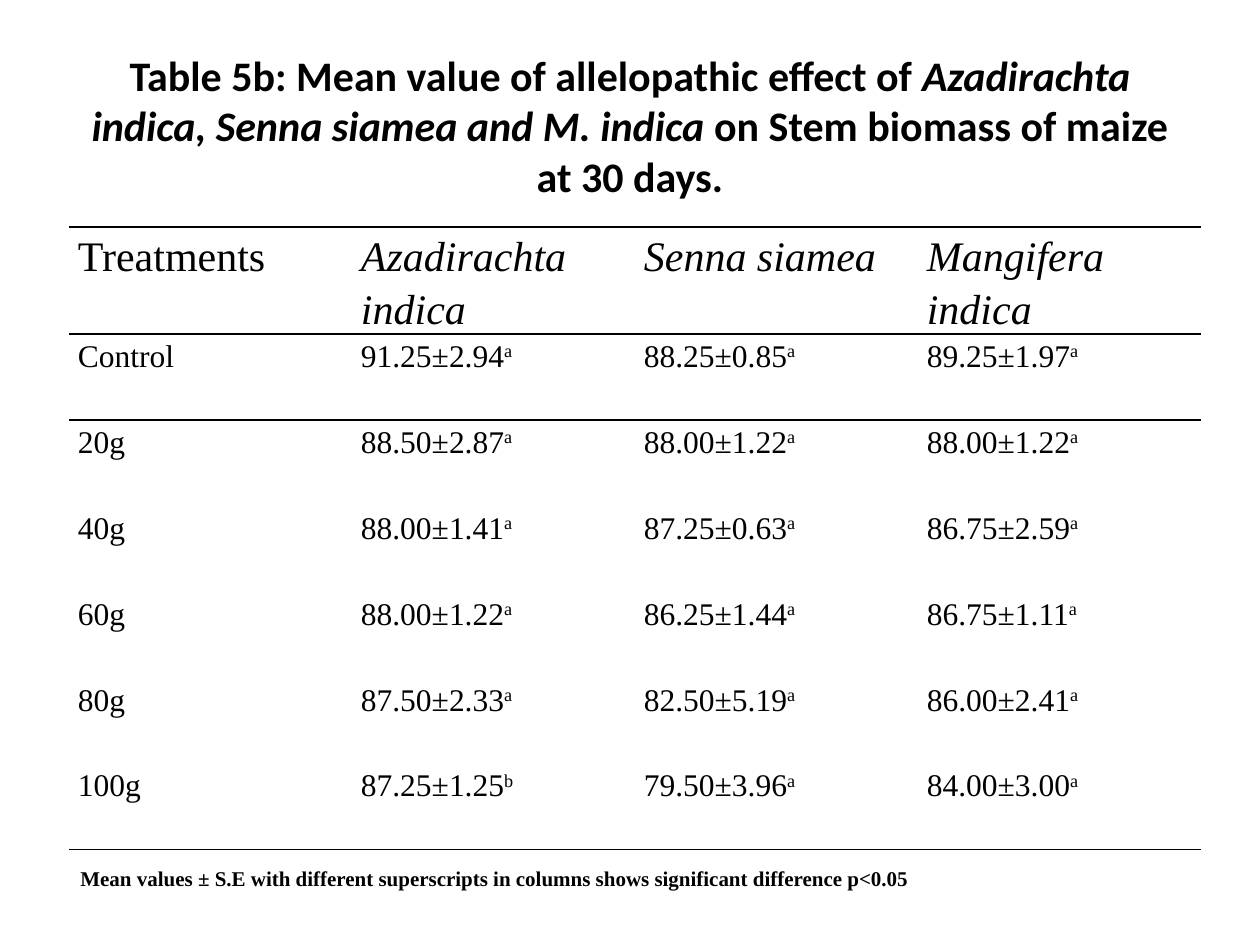
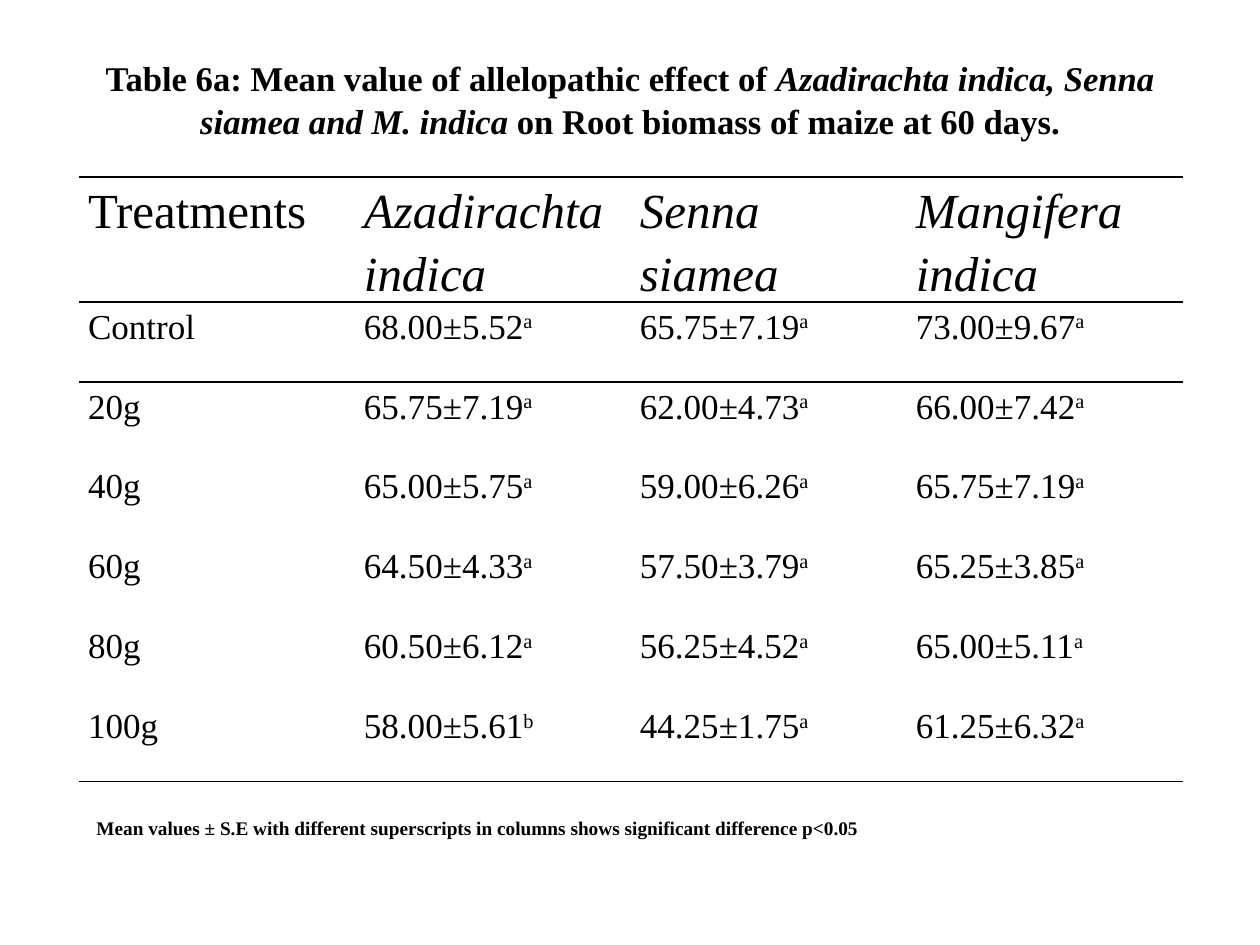
import dataclasses
import lxml.etree
import pptx
import pptx.dml.color
import pptx.enum.text
import pptx.oxml.ns
import pptx.util

PX = 914400 // 126


@dataclasses.dataclass(frozen=True)
class Theme:
    ink: str = "000000"
    sans: str = "Calibri"
    serif: str = "Times New Roman"
    rule: float = 1
    title_sizes: tuple = (24, 19.8)
    head_sizes: tuple = (24, 28)
    body_sizes: tuple = (18, 20)
    note_sizes: tuple = (12, 11)


theme = Theme()
plain_table = "{2D5ABB26-0587-4C30-8999-92F81FD0307C}"
species = "Azadirachta indica, Senna siamea and M. indica"
header = ["Treatments", "Azadirachta indica", "Senna siamea", "Mangifera indica"]
treatments = ["Control", "20g", "40g", "60g", "80g", "100g"]
note = "Mean values ± S.E with different superscripts in columns shows significant difference p<0.05"

slides = [
    {
        "title": ("Table 5b: Mean value of allelopathic effect of ",
                  " on Stem biomass of maize at 30 days."),
        "title_font": theme.sans, "title_top": 46, "title_spacing": 1.0,
        "table": (69, 227), "col": 283, "rows": (106, 86),
        "note": (68, 859, 1131, 38),
        "means": [
            ("91.25±2.94a", "88.25±0.85a", "89.25±1.97a"),
            ("88.50±2.87a", "88.00±1.22a", "88.00±1.22a"),
            ("88.00±1.41a", "87.25±0.63a", "86.75±2.59a"),
            ("88.00±1.22a", "86.25±1.44a", "86.75±1.11a"),
            ("87.50±2.33a", "82.50±5.19a", "86.00±2.41a"),
            ("87.25±1.25b", "79.50±3.96a", "84.00±3.00a"),
        ],
    },
    {
        "title": ("Table 6a: Mean value of allelopathic effect of ",
                  " on Root biomass of maize at 60 days."),
        "title_font": theme.serif, "title_top": 19, "title_spacing": 1.05,
        "table": (79, 177), "col": 276, "rows": (125, 80),
        "note": (84, 810, 1155, 37),
        "means": [
            ("68.00±5.52a", "65.75±7.19a", "73.00±9.67a"),
            ("65.75±7.19a", "62.00±4.73a", "66.00±7.42a"),
            ("65.00±5.75a", "59.00±6.26a", "65.75±7.19a"),
            ("64.50±4.33a", "57.50±3.79a", "65.25±3.85a"),
            ("60.50±6.12a", "56.25±4.52a", "65.00±5.11a"),
            ("58.00±5.61b", "44.25±1.75a", "61.25±6.32a"),
        ],
    },
]


def style(font, name, size, bold=False):
    font.name = name
    font.size = pptx.util.Pt(size)
    font.bold = bold
    font.color.rgb = pptx.dml.color.RGBColor.from_string(theme.ink)


def border(cell, side):
    qn = pptx.oxml.ns.qn
    tcPr = cell._tc.get_or_add_tcPr()
    ln = lxml.etree.SubElement(tcPr, qn("a:" + side), w=str(pptx.util.Pt(theme.rule)))
    fill = lxml.etree.SubElement(ln, qn("a:solidFill"))
    lxml.etree.SubElement(fill, qn("a:srgbClr"), val=theme.ink)


prs = pptx.Presentation()
prs.slide_width = 1260 * PX
prs.slide_height = 945 * PX

for i, data in enumerate(slides):
    s = prs.slides.add_slide(prs.slide_layouts[5])

    sp = s.shapes.title
    sp.left, sp.top, sp.width, sp.height = [
        v * PX for v in (63, data["title_top"], 1134, 158)]
    tf = sp.text_frame
    tf.auto_size = pptx.enum.text.MSO_AUTO_SIZE.NONE
    tf.vertical_anchor = pptx.enum.text.MSO_ANCHOR.MIDDLE
    p = tf.paragraphs[0]
    p.alignment = pptx.enum.text.PP_ALIGN.CENTER
    p.line_spacing = data["title_spacing"]
    before, after = data["title"]
    for text in (before, species, after):
        r = p.add_run()
        r.text = text
        r.font.italic = text == species
    style(p.font, data["title_font"], theme.title_sizes[i], True)

    left, top = data["table"]
    head_h, row_h = data["rows"]
    rows = [header] + [[t, *m] for t, m in zip(treatments, data["means"])]
    frame = s.shapes.add_table(
        len(rows), len(header), left * PX, top * PX, len(header) * data["col"] * PX,
        (head_h + row_h * len(treatments)) * PX)
    table = frame.table
    table.first_row = False
    table.horz_banding = False
    next(frame.element.iter(pptx.oxml.ns.qn("a:tableStyleId"))).text = plain_table
    for col in table.columns:
        col.width = data["col"] * PX

    for y, values in enumerate(rows):
        table.rows[y].height = (row_h if y else head_h) * PX
        for x, value in enumerate(values):
            cell = table.cell(y, x)
            cell.margin_left = cell.margin_right = 9 * PX
            cell.margin_top = cell.margin_bottom = 0
            if y < 2:
                border(cell, "lnT")
            if y in (0, len(rows) - 1):
                border(cell, "lnB")
            cell.fill.background()
            p = cell.text_frame.paragraphs[0]
            p.line_spacing = 1.15
            if x and y:
                p.add_run().text = value[:-1]
                r = p.add_run()
                r.text = value[-1]
                r.font._element.set("baseline", "30000")
            else:
                p.add_run().text = value
            style(p.font, theme.serif, theme.body_sizes[i] if y else theme.head_sizes[i])
            p.font.italic = y == 0 and x > 0

    sp = s.shapes.add_textbox(*[v * PX for v in data["note"]])
    tf = sp.text_frame
    tf.word_wrap = True
    p = tf.paragraphs[0]
    p.text = note
    style(p.font, theme.serif, theme.note_sizes[i], True)

prs.save("out.pptx")
